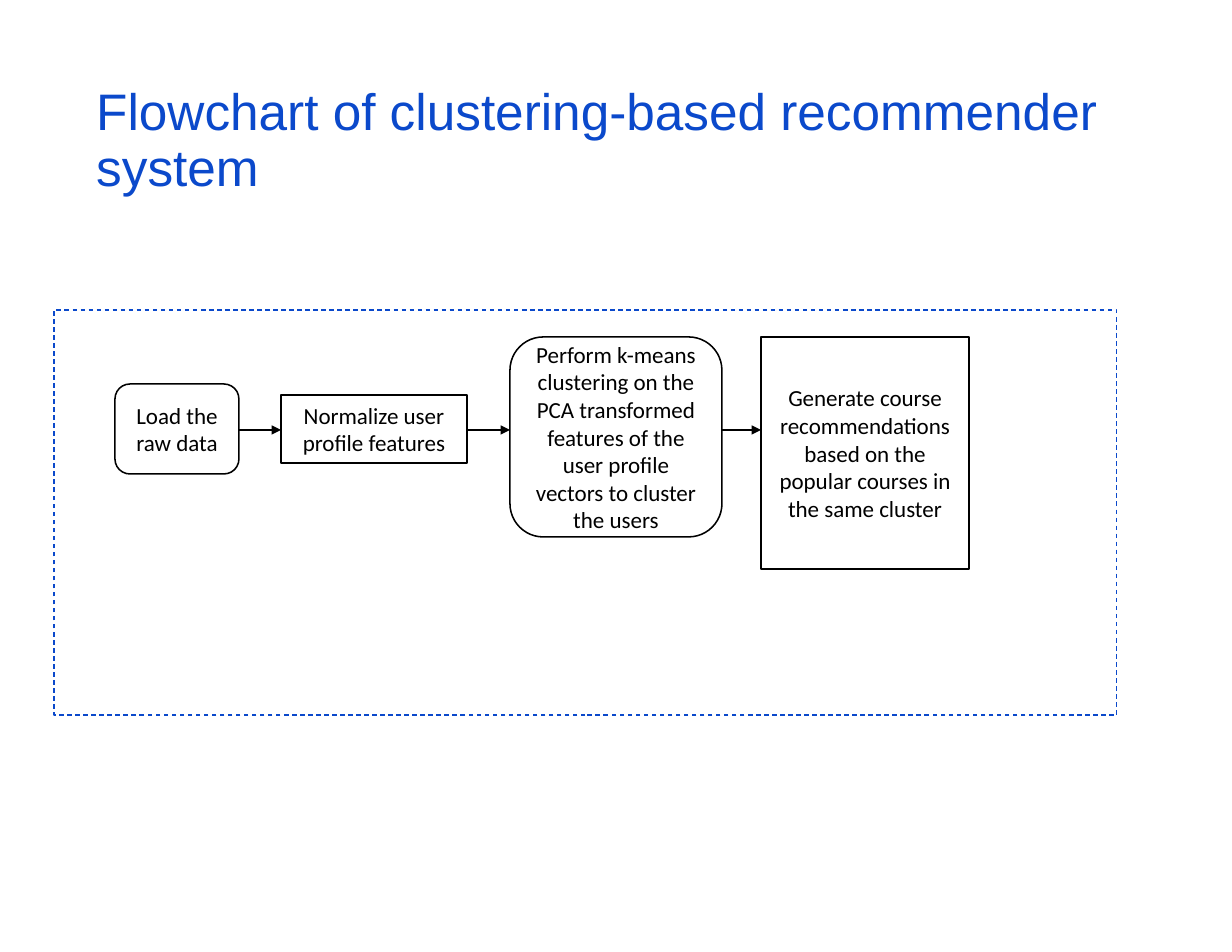
"""Build the flowchart slide of a clustering-based recommender system."""
from dataclasses import dataclass
from itertools import pairwise

import pptx
import pptx.dml.color
import pptx.enum.dml
import pptx.enum.shapes
import pptx.enum.text
import pptx.oxml
import pptx.oxml.ns
import pptx.util

PX = 914400 // 112
RECT = pptx.enum.shapes.MSO_SHAPE.RECTANGLE
ROUNDED = pptx.enum.shapes.MSO_SHAPE.ROUNDED_RECTANGLE


@dataclass(frozen=True)
class Theme:
    blue: str = "0B49CB"
    black: str = "000000"
    white: str = "FFFFFF"
    title_font: str = "Arial"
    step_font: str = "Calibri"
    title_size: float = 33
    step_size: float = 14.8
    frame_width: float = 0.75
    step_width: float = 1
    arrow_width: float = 1.25


class FlowSlide:
    def __init__(self, deck, theme):
        self.theme = theme
        self.slide = deck.slides.add_slide(deck.slide_layouts[5])

    def style_line(self, line, color, width):
        line.color.rgb = pptx.dml.color.RGBColor.from_string(color)
        line.width = pptx.util.Pt(width)

    def style_text(self, shape, text, font, size, color, align):
        frame = shape.text_frame
        frame.text = text
        frame.word_wrap = True
        frame.auto_size = pptx.enum.text.MSO_AUTO_SIZE.NONE
        frame.vertical_anchor = pptx.enum.text.MSO_ANCHOR.MIDDLE
        paragraph = frame.paragraphs[0]
        paragraph.alignment = align
        paragraph.font.name = font
        paragraph.font.size = pptx.util.Pt(size)
        paragraph.font.color.rgb = pptx.dml.color.RGBColor.from_string(color)
        return paragraph

    def title(self, text, left, top, width, height):
        heading = self.slide.shapes.title
        heading.left, heading.top = left * PX, top * PX
        heading.width, heading.height = width * PX, height * PX
        paragraph = self.style_text(
            heading, text, self.theme.title_font, self.theme.title_size,
            self.theme.blue, pptx.enum.text.PP_ALIGN.LEFT)
        paragraph.line_spacing = 0.9

    def outline(self, kind, left, top, width, height):
        shape = self.slide.shapes.add_shape(
            kind, left * PX, top * PX, width * PX, height * PX)
        shape.shadow.inherit = False
        shape.fill.background()
        return shape

    def frame(self, left, top, width, height):
        border = self.outline(RECT, left, top, width, height)
        self.style_line(border.line, self.theme.blue, self.theme.frame_width)
        border.line.dash_style = pptx.enum.dml.MSO_LINE.DASH

    def step(self, text, kind, left, top, width, height):
        box = self.outline(kind, left, top, width, height)
        if kind == RECT:
            box.fill.solid()
            box.fill.fore_color.rgb = pptx.dml.color.RGBColor.from_string(self.theme.white)
        self.style_line(box.line, self.theme.black, self.theme.step_width)
        self.style_text(
            box, text, self.theme.step_font, self.theme.step_size,
            self.theme.black, pptx.enum.text.PP_ALIGN.CENTER)

    def arrow(self, start, end, y):
        link = self.slide.shapes.add_connector(
            pptx.enum.shapes.MSO_CONNECTOR.STRAIGHT,
            start * PX, y * PX, end * PX, y * PX)
        self.style_line(link.line, self.theme.black, self.theme.arrow_width)
        head = pptx.oxml.parse_xml(
            f'<a:tailEnd {pptx.oxml.ns.nsdecls("a")} type="triangle"/>')
        link.line._get_or_add_ln().append(head)
        link._element.spPr.append(
            pptx.oxml.parse_xml(f'<a:effectLst {pptx.oxml.ns.nsdecls("a")}/>'))


def main():
    deck = pptx.Presentation()
    deck.slide_width = pptx.util.Inches(11)
    deck.slide_height = pptx.util.Inches(8.5)
    flow = FlowSlide(deck, Theme())
    flow.title("Flowchart of clustering-based recommender system", 85, 50, 1063, 184)
    flow.frame(54, 310, 1063, 405)

    steps = [
        ("Load the raw data", ROUNDED, 115, 384, 124, 90),
        ("Normalize user profile features", RECT, 281, 395, 186, 68),
        ("Perform k-means clustering on the PCA transformed features of the "
         "user profile vectors to cluster the users", ROUNDED, 510, 337, 212, 200),
        ("Generate course recommendations based on the popular courses in "
         "the same cluster", RECT, 761, 337, 208, 232),
    ]
    for step in steps:
        flow.step(*step)
    for (_, _, left, _, width, _), (_, _, following, _, _, _) in pairwise(steps):
        flow.arrow(left + width, following, 430)

    deck.save("out.pptx")


if __name__ == "__main__":
    main()
